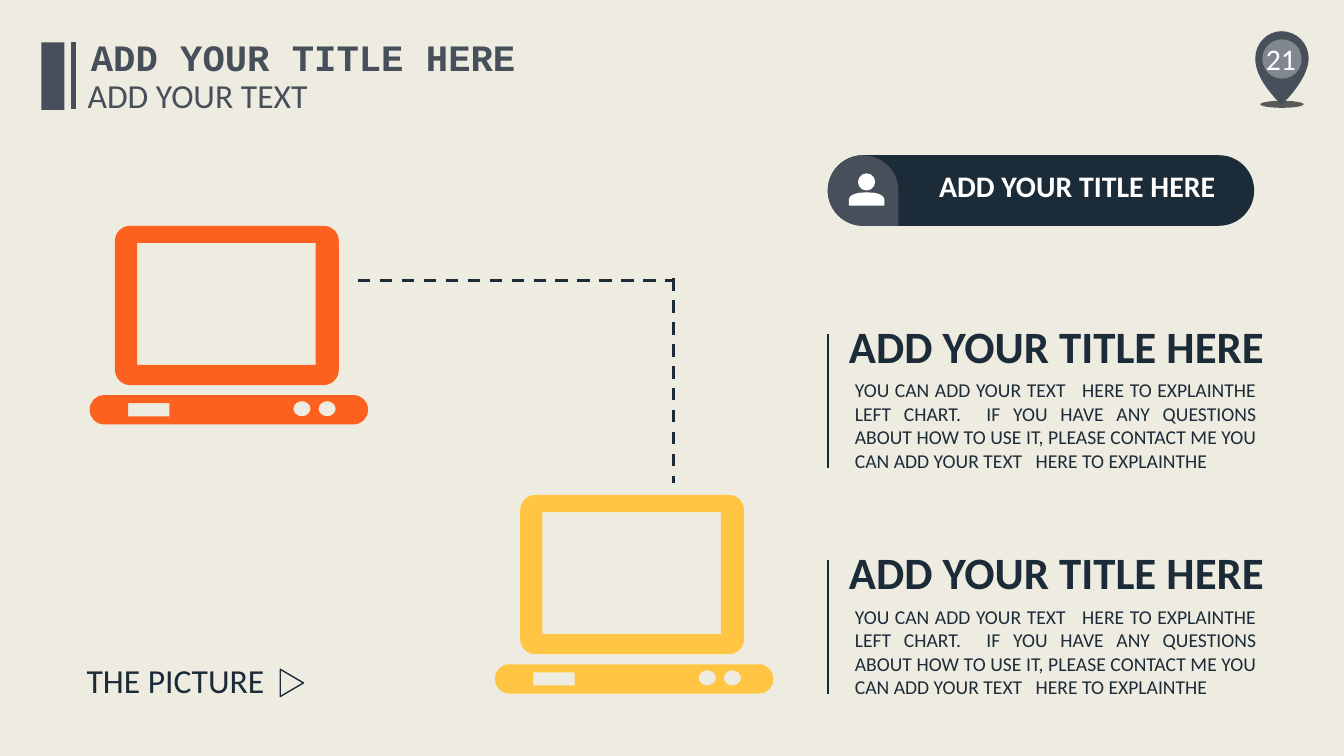
from dataclasses import dataclass
from math import dist
from typing import Any, Optional

from lxml import etree
from pptx import Presentation, util as u
from pptx.dml.color import RGBColor
from pptx.enum import dml, shapes, text
from pptx.oxml.ns import qn

CREAM = RGBColor(0xEE, 0xEC, 0xE1)
SLATE = RGBColor(0x46, 0x4F, 0x5A)
NAVY = RGBColor(0x1C, 0x2B, 0x38)
RULE = RGBColor(0x15, 0x2C, 0x34)
ORANGE = RGBColor(0xFC, 0x61, 0x1F)
YELLOW = RGBColor(0xFF, 0xC5, 0x43)
GRAY = RGBColor(0x59, 0x59, 0x59)
WHITE = RGBColor(0xFF, 0xFF, 0xFF)

Shape = shapes.MSO_SHAPE
Align = text.PP_ALIGN
Anchor = text.MSO_ANCHOR
Point = tuple[float, float]
Box = tuple[float, float, float, float]
Ring = list[tuple[Point, ...]]

ARC = 0.55
HEADING = "ADD YOUR TITLE HERE "
BODY = ("YOU CAN ADD YOUR TEXT   HERE TO EXPLAINTHE LEFT CHART.  IF YOU HAVE ANY "
        "QUESTIONS ABOUT HOW TO USE IT, PLEASE CONTACT ME YOU CAN ADD YOUR TEXT   "
        "HERE TO EXPLAINTHE ")


@dataclass
class Label:
    words: str
    box: Box
    size: float
    color: RGBColor
    bold: bool = False
    align: Align = Align.LEFT
    wrap: bool = False
    anchor: Anchor = Anchor.TOP
    font: str = "Calibri"


@dataclass
class Line:
    start: Point
    end: Point
    color: RGBColor
    width: float
    dash: Optional[dml.MSO_LINE] = None


@dataclass
class Laptop:
    left: float
    top: float
    color: RGBColor


def inches(values: tuple) -> list[u.Length]:
    return [u.Inches(v) for v in values]


def paint(sp: Any, fill: RGBColor) -> Any:
    sp.shadow.inherit = False
    sp.fill.solid()
    sp.fill.fore_color.rgb = fill
    sp.line.fill.background()
    return sp


def add_preset(s: Any, kind: Shape, box: Box, fill: RGBColor) -> Any:
    return paint(s.shapes.add_shape(kind, *inches(box)), fill)


def write(sp: Any, label: Label) -> None:
    sp.left, sp.top, sp.width, sp.height = inches(label.box)
    tf = sp.text_frame
    frame = {"auto_size": text.MSO_AUTO_SIZE.NONE, "word_wrap": label.wrap,
             "vertical_anchor": label.anchor}
    for key, value in frame.items():
        setattr(tf, key, value)
    p = tf.paragraphs[0]
    p.alignment = label.align
    r = p.add_run()
    r.text = label.words
    style = {"name": label.font, "size": u.Pt(label.size), "bold": label.bold}
    for key, value in style.items():
        setattr(r.font, key, value)
    r.font.color.rgb = label.color


def add_label(s: Any, label: Label) -> None:
    write(s.shapes.add_textbox(*inches(label.box)), label)


def add_line(s: Any, line: Line) -> None:
    c = s.shapes.add_connector(shapes.MSO_CONNECTOR.STRAIGHT,
                               *inches(line.start + line.end))
    c.line.color.rgb = line.color
    c.line.width = u.Pt(line.width)
    if line.dash:
        c.line.dash_style = line.dash
    etree.SubElement(c._element.spPr, qn("a:effectLst"))


def toward(a: Point, b: Point) -> Point:
    return a[0] + (b[0] - a[0]) * ARC, a[1] + (b[1] - a[1]) * ARC


def rounded(box: Box, radii: tuple = (0, 0, 0, 0)) -> Ring:
    x, y, w, h = box
    ring: Ring = []
    for i, (r, (px, py)) in enumerate(zip(radii, ((0, 0), (1, 0), (1, 1), (0, 1)))):
        corner = (x + w * px, y + h * py)
        ry = min(r, h / 2)
        across = (corner[0] + r * (1 - 2 * px), corner[1])
        down = (corner[0], corner[1] + ry * (1 - 2 * py))
        a, b = (across, down) if i % 2 else (down, across)
        if not ring or dist(ring[-1][-1], a) > 0.001:
            ring.append((a,))
        if r:
            ring.append((toward(a, corner), toward(b, corner), b))
    return ring


def oval(box: Box) -> Ring:
    return rounded(box, (box[2] / 2,) * 4)


def add_outline(s: Any, rings: list[Ring], fill: RGBColor) -> None:
    fb = None
    for ring in rings:
        points = [tuple(inches(point)) for segment in ring for point in segment]
        if fb:
            fb.move_to(*points[0])
        else:
            fb = s.shapes.build_freeform(*points[0])
        fb.add_line_segments(points[1:], close=True)
    sp = paint(fb.convert_to_shape(), fill)
    steps = iter(list(sp._element.iter(qn("a:lnTo"))))
    for segment in (segment for ring in rings for segment in ring[1:]):
        first, *others = [next(steps) for _ in segment]
        if others:
            first.tag_name = None
            curve = etree.Element(qn("a:cubicBezTo"))
            first.addprevious(curve)
            for step in (first, *others):
                curve.append(step[0])
                step.getparent().remove(step)


def add_laptop(s: Any, laptop: Laptop) -> None:
    x, y = laptop.left, laptop.top
    screen = [rounded((x + 0.25, y, 2.22, 1.58), (0.15,) * 4),
              rounded((x + 0.47, y + 0.17, 1.77, 1.21))]
    base = [rounded((x, y + 1.68, 2.76, 0.29), (0.14,) * 4),
            rounded((x + 0.38, y + 1.76, 0.41, 0.13))]
    base += [oval((x + dx, y + 1.74, 0.17, 0.15)) for dx in (2.02, 2.27)]
    for rings in (screen, base):
        add_outline(s, rings, laptop.color)


def add_pin(s: Any) -> None:
    add_preset(s, Shape.OVAL, (12.5, 1, 0.43, 0.07), GRAY)
    left, middle, right, top, side, tip = 12.45, 12.71, 12.98, 0.31, 0.58, (12.71, 1.04)
    ring = [((left, side),),
            ((left, 0.43), (12.57, top), (middle, top)),
            ((12.86, top), (right, 0.43), (right, side)),
            ((right, 0.7), (12.88, 0.88), tip),
            ((12.57, 0.9), (left, 0.74), (left, side))]
    add_outline(s, [ring], SLATE)
    disc = add_preset(s, Shape.OVAL, (12.52, 0.39, 0.39, 0.39), WHITE)
    color = disc._element.spPr.find(qn("a:solidFill"))[0]
    etree.SubElement(color, qn("a:alpha"), val="32000")
    add_label(s, Label("21", (11.15, 0.38, 3.11, 0.4), 21.33, WHITE,
                       align=Align.CENTER, wrap=True, anchor=Anchor.MIDDLE))


def add_banner(s: Any) -> None:
    pill = add_preset(s, Shape.ROUNDED_RECTANGLE, (8.21, 1.54, 4.23, 0.7), NAVY)
    pill.adjustments[0] = 0.5
    add_outline(s, [rounded((8.21, 1.54, 0.7, 0.7), (0.35, 0.35, 0, 0.35))], SLATE)
    add_preset(s, Shape.OVAL, (8.51, 1.72, 0.17, 0.17), WHITE)
    body = rounded((8.42, 1.91, 0.35, 0.13), (0.15, 0.15, 0, 0))
    add_outline(s, [body], WHITE)
    add_label(s, Label(HEADING, (9.2, 1.61, 3.04, 0.46), 21.33, WHITE, True, Align.CENTER))


def add_section(s: Any, top: float) -> None:
    add_label(s, Label(BODY, (8.38, top + 0.59, 4.18, 1.04), 14, NAVY,
                       align=Align.JUSTIFY, wrap=True))
    add_label(s, Label(HEADING, (8.3, top, 4.46, 0.64), 32, NAVY, True, Align.CENTER))
    add_line(s, Line((8.21, top + 0.2), (8.21, top + 1.53), RULE, 1.5))


prs = Presentation()
prs.slide_width, prs.slide_height = inches((13.33, 7.5))
s = prs.slides.add_slide(prs.slide_layouts[5])
s.background.fill.solid()
s.background.fill.fore_color.rgb = CREAM

write(s.shapes.title, Label(HEADING.strip(), (0.79, 0.29, 4.44, 0.55), 26.67, SLATE, True,
                            Align.CENTER, font="Courier New"))
add_pin(s)
for laptop in (Laptop(0.89, 2.24, ORANGE), Laptop(4.91, 4.91, YELLOW)):
    add_laptop(s, laptop)
for start, end in (((3.55, 2.78), (6.69, 2.78)), ((6.68, 2.76), (6.68, 4.79))):
    add_line(s, Line(start, end, NAVY, 2.25, dml.MSO_LINE.DASH))
add_banner(s)
for top in (3.11, 5.36):
    add_section(s, top)

add_label(s, Label("THE PICTURE", (0.76, 6.5, 1.98, 0.5), 24, NAVY))
arrow = add_preset(s, Shape.ISOSCELES_TRIANGLE, (2.76, 6.66, 0.27, 0.23), NAVY)
arrow.rotation = 90
arrow.fill.background()
arrow.line.color.rgb = NAVY
arrow.line.width = u.Pt(1)
add_preset(s, Shape.RECTANGLE, (0.41, 0.42, 0.23, 0.67), SLATE)
add_line(s, Line((0.73, 0.42), (0.73, 1.08), SLATE, 3))
add_label(s, Label("ADD YOUR TEXT", (0.77, 0.69, 2.41, 0.5), 24, SLATE))

prs.save("out.pptx")
